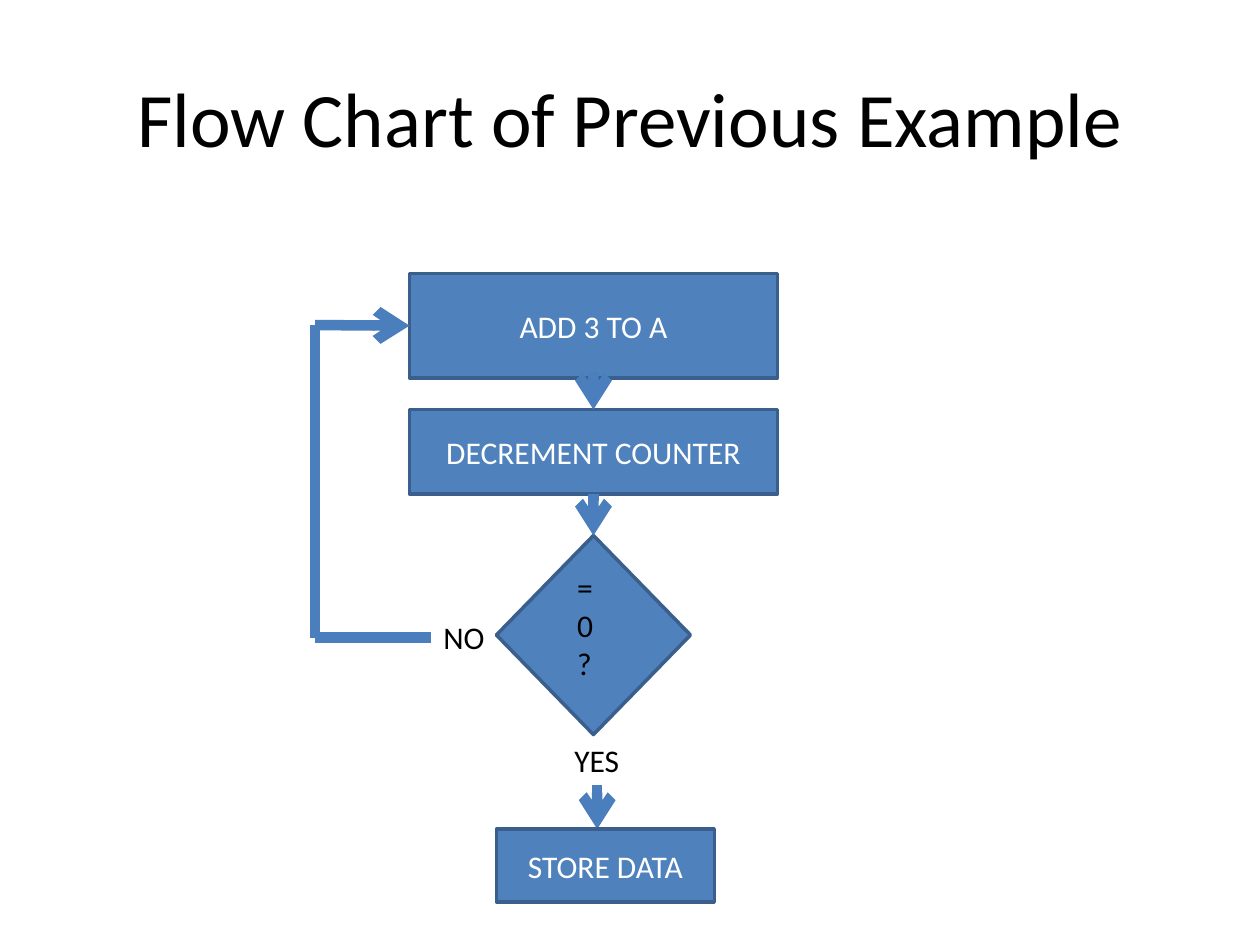
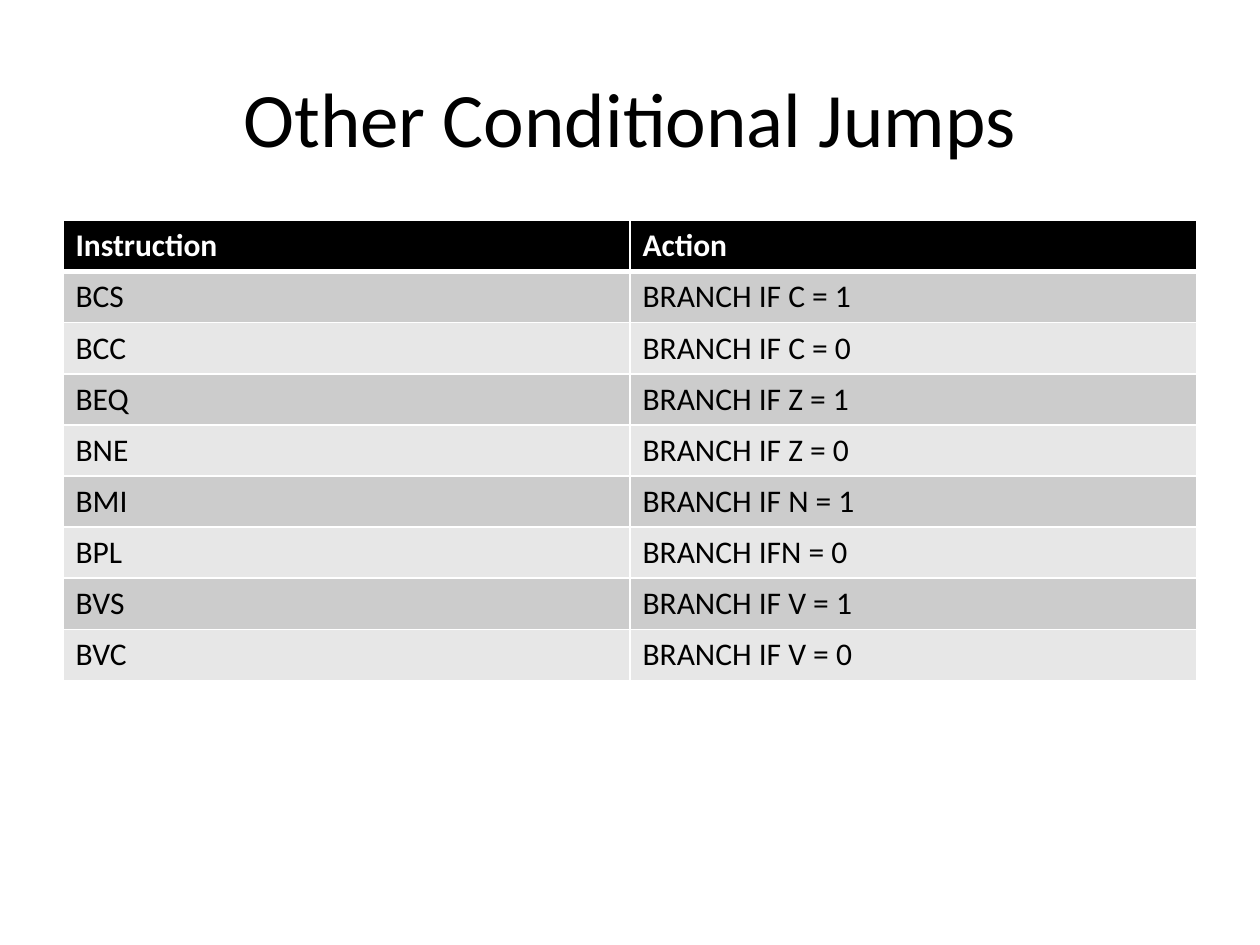
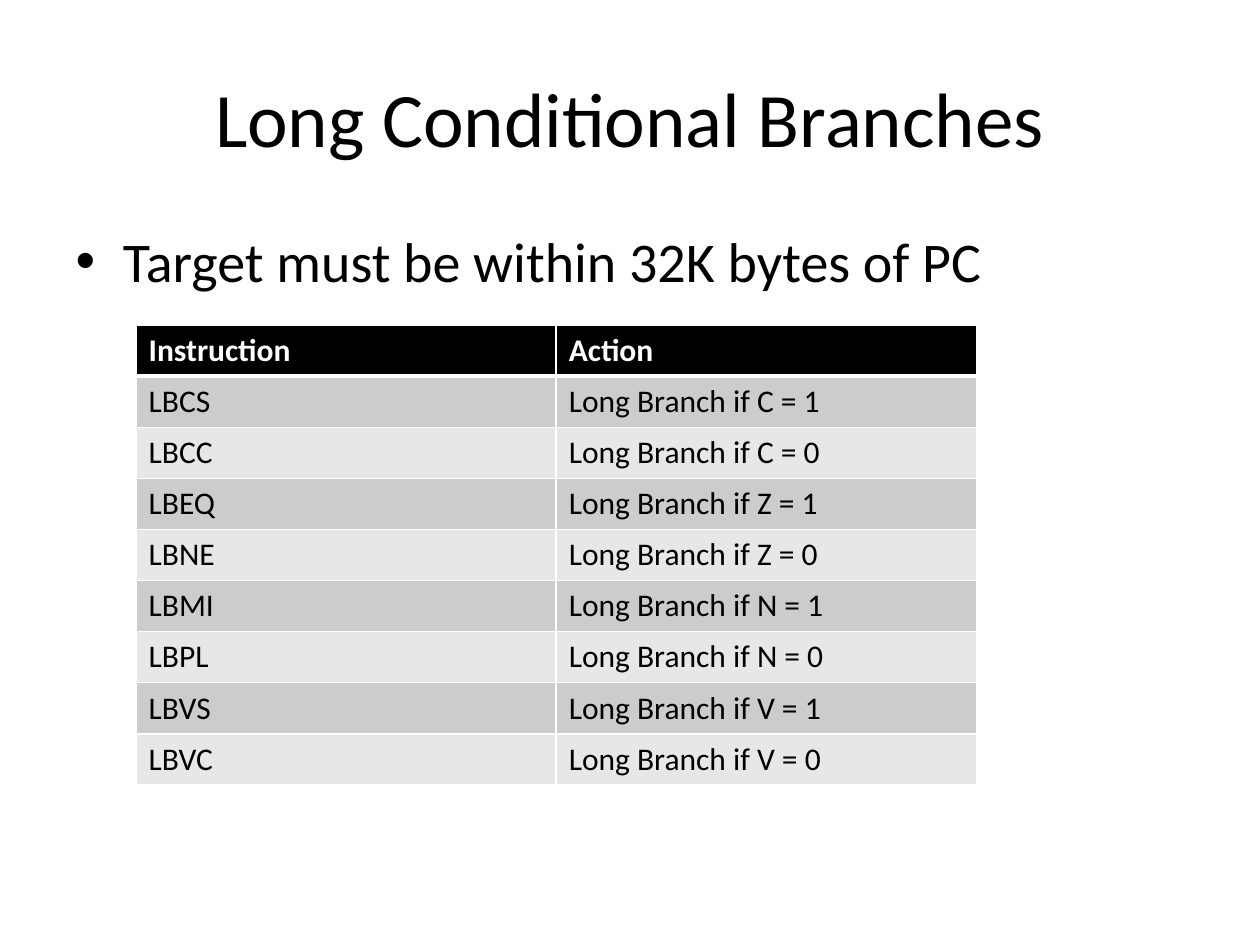
from lxml import etree
from pptx import Presentation
from pptx import util as u
from pptx.dml.color import RGBColor
from pptx.enum import shapes, text
from pptx.oxml import ns

FONT = "Calibri"
BLACK, WHITE = "000000", "FFFFFF"
BOX_FILL, BOX_LINE, ARROW = "4F81BD", "3A5F8C", "4B7EBC"
BANDS = ("CCCCCC", "E7E7E7")
TITLE_SIZE, BODY_SIZE, TEXT_SIZE = 44, 32, 18
TITLE_ONLY, TITLE_AND_CONTENT = 5, 1
TOP, LEFT, BOTTOM = 0, 1, 2  # connection sites

BRANCHES = (("CS", "C = 1"), ("CC", "C = 0"), ("EQ", "Z = 1"), ("NE", "Z = 0"),
            ("MI", "N = 1"), ("PL", "N = 0"), ("VS", "V = 1"), ("VC", "V = 0"))


def color(hex_string):
    return RGBColor.from_string(hex_string)


def inches(*lengths):
    return [u.Inches(length) for length in lengths]


def place(shape, *box):
    shape.left, shape.top, shape.width, shape.height = inches(*box)


def write(paragraph, words, size=TEXT_SIZE, ink=BLACK, bold=False, align=None):
    run = paragraph.add_run()
    run.text = words
    run.font.name, run.font.size, run.font.bold = FONT, u.Pt(size), bold
    run.font.color.rgb = color(ink)
    paragraph.alignment = align


def add_titled_slide(presentation, title, layout=TITLE_ONLY):
    slide = presentation.slides.add_slide(presentation.slide_layouts[layout])
    place(slide.shapes.title, 0.5, 0.3, 9, 1.25)
    frame = slide.shapes.title.text_frame
    frame.vertical_anchor = text.MSO_ANCHOR.MIDDLE
    write(frame.paragraphs[0], title, TITLE_SIZE, align=text.PP_ALIGN.CENTER)
    return slide


# Flow chart elements
def add_step(slide, box, words="", kind=shapes.MSO_SHAPE.RECTANGLE):
    shape = slide.shapes.add_shape(kind, *inches(*box))
    shape.shadow.inherit = False
    shape.fill.solid()
    shape.fill.fore_color.rgb = color(BOX_FILL)
    shape.line.color.rgb = color(BOX_LINE)
    shape.line.width = u.Pt(2)
    if words:
        shape.text_frame.vertical_anchor = text.MSO_ANCHOR.MIDDLE
        write(shape.text_frame.paragraphs[0], words, ink=WHITE,
              align=text.PP_ALIGN.CENTER)
    return shape


def add_label(slide, box, *lines, wrap=False):
    label = slide.shapes.add_textbox(*inches(*box))
    frame = label.text_frame
    frame.word_wrap = wrap
    frame.auto_size = text.MSO_AUTO_SIZE.SHAPE_TO_FIT_TEXT
    for index, line in enumerate(lines):
        paragraph = frame.add_paragraph() if index else frame.paragraphs[0]
        write(paragraph, line)
    return label


def add_line(slide, start, end, begin=None, finish=None, arrow=True):
    """Draw a line; begin and finish are (shape, site) pairs to join."""
    line = slide.shapes.add_connector(shapes.MSO_CONNECTOR.STRAIGHT,
                                      *inches(*start, *end))
    if begin:
        line.begin_connect(*begin)
    if finish:
        line.end_connect(*finish)
    line.line.color.rgb = color(ARROW)
    line.line.width = u.Pt(6)
    if arrow:
        etree.SubElement(line.line._get_or_add_ln(), ns.qn("a:tailEnd"), type="arrow")
    etree.SubElement(line._element.spPr, ns.qn("a:effectLst"))


# Table elements
def set_border(cell, side, points):
    line = etree.SubElement(cell._tc.get_or_add_tcPr(), ns.qn(f"a:ln{side}"),
                            w=str(u.Pt(points)))
    fill = etree.SubElement(line, ns.qn("a:solidFill"))
    etree.SubElement(fill, ns.qn("a:srgbClr"), val=WHITE)


def add_branch_table(slide, box, rows):
    rows = [("Instruction", "Action"), *rows]
    table = slide.shapes.add_table(len(rows), 2, *inches(*box)).table
    for column in table.columns:
        column.width = u.Inches(box[2] / 2)
    for row in table.rows:
        row.height = u.Inches(box[3] / len(rows))
    for row_index, row in enumerate(rows):
        header = row_index == 0
        widths = {"L": 1, "R": 1, "T": 3 if row_index == 1 else 1,
                  "B": 3 if header else 1}
        for column_index, words in enumerate(row):
            cell = table.cell(row_index, column_index)
            for side, points in widths.items():
                set_border(cell, side, points)
            cell.fill.solid()
            cell.fill.fore_color.rgb = color(
                BLACK if header else BANDS[(row_index - 1) % 2])
            write(cell.text_frame.paragraphs[0], words,
                  ink=WHITE if header else BLACK, bold=header)


# Slides
def build_flow_chart(presentation):
    slide = add_titled_slide(presentation, "Flow Chart of Previous Example")
    add = add_step(slide, (3.25, 2.17, 2.92, 0.83), "ADD 3 TO A")
    decrement = add_step(slide, (3.25, 3.25, 2.92, 0.67), "DECREMENT COUNTER")
    decision = add_step(slide, (3.94, 4.25, 1.54, 1.58),
                        kind=shapes.MSO_SHAPE.DIAMOND)
    question = add_label(slide, (4.58, 4.46, 0.05, 1.01), "=", "0", "?", wrap=True)
    question.text_frame.margin_left = question.text_frame.margin_right = 0
    no = add_label(slide, (3.42, 4.86, 0.53, 0.4), "NO")
    yes = add_label(slide, (4.46, 5.83, 0.56, 0.4), "YES")

    # Loop back to the first step
    loop_x, no_y, add_y = 2.5, 5.06, 2.58
    add_line(slide, (3.42, no_y), (loop_x, no_y), begin=(no, LEFT), arrow=False)
    add_line(slide, (loop_x, no_y), (loop_x, add_y), arrow=False)
    add_line(slide, (loop_x, add_y), (3.25, add_y), finish=(add, LEFT))

    # Steps downwards
    add_line(slide, (4.71, 3), (4.71, 3.25), (add, BOTTOM), (decrement, TOP))
    add_line(slide, (4.71, 3.92), (4.71, 4.25), (decrement, BOTTOM), (decision, TOP))
    add_line(slide, (4.74, 6.24), (4.74, 6.58), begin=(yes, BOTTOM))
    add_step(slide, (3.94, 6.58, 1.73, 0.58), "STORE DATA")


def build_conditional_jumps(presentation):
    slide = add_titled_slide(presentation, "Other Conditional Jumps")
    rows = [(f"B{code}", "BRANCH IFN = 0" if code == "PL" else f"BRANCH IF {test}")
            for code, test in BRANCHES]
    add_branch_table(slide, (0.5, 1.75, 9, 3.65), rows)


def build_long_branches(presentation):
    slide = add_titled_slide(presentation, "Long Conditional Branches",
                             TITLE_AND_CONTENT)
    body = slide.placeholders[1]
    place(body, 0.5, 1.75, 9, 4.95)
    write(body.text_frame.paragraphs[0], "Target must be within 32K bytes of PC",
          BODY_SIZE)
    rows = [(f"LB{code}", f"Long Branch if {test}") for code, test in BRANCHES]
    add_branch_table(slide, (1.08, 2.58, 6.67, 3.65), rows)


def main():
    presentation = Presentation()
    presentation.slide_width, presentation.slide_height = inches(10, 7.5)
    build_flow_chart(presentation)
    build_conditional_jumps(presentation)
    build_long_branches(presentation)
    presentation.save("out.pptx")


if __name__ == "__main__":
    main()
